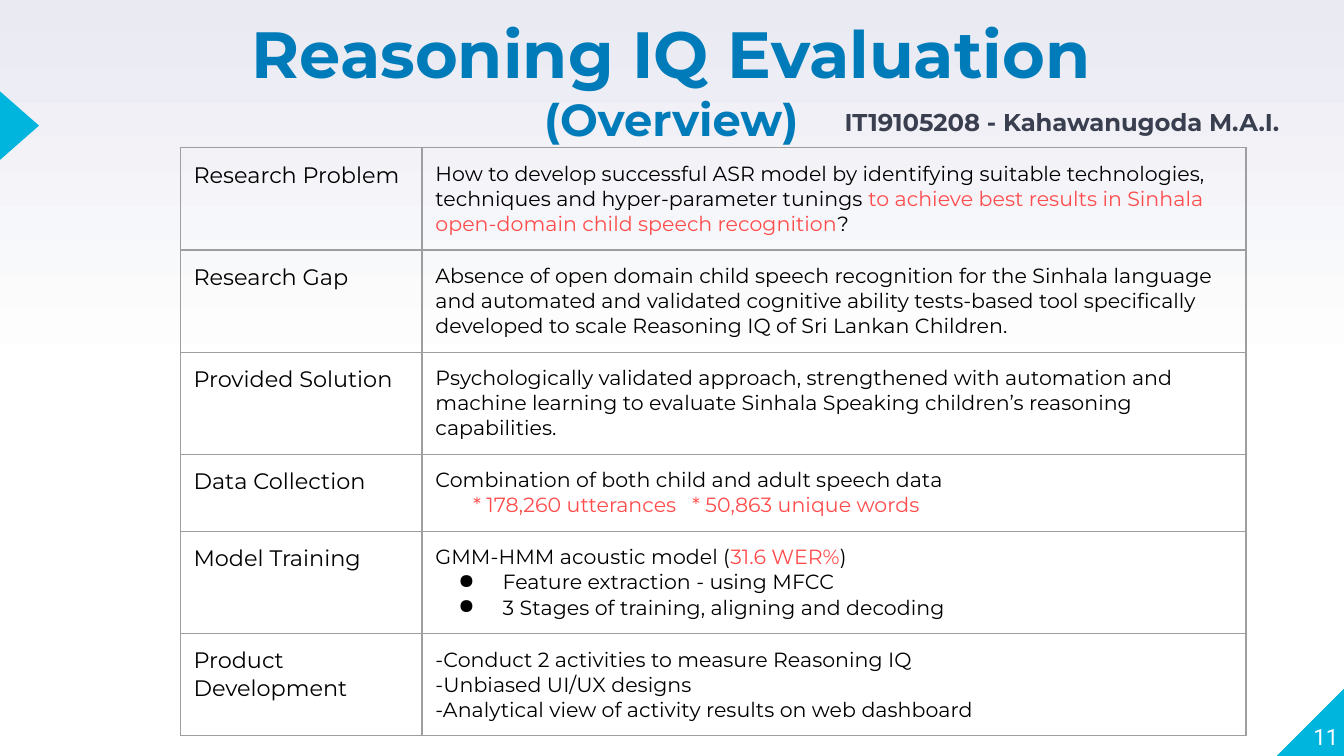
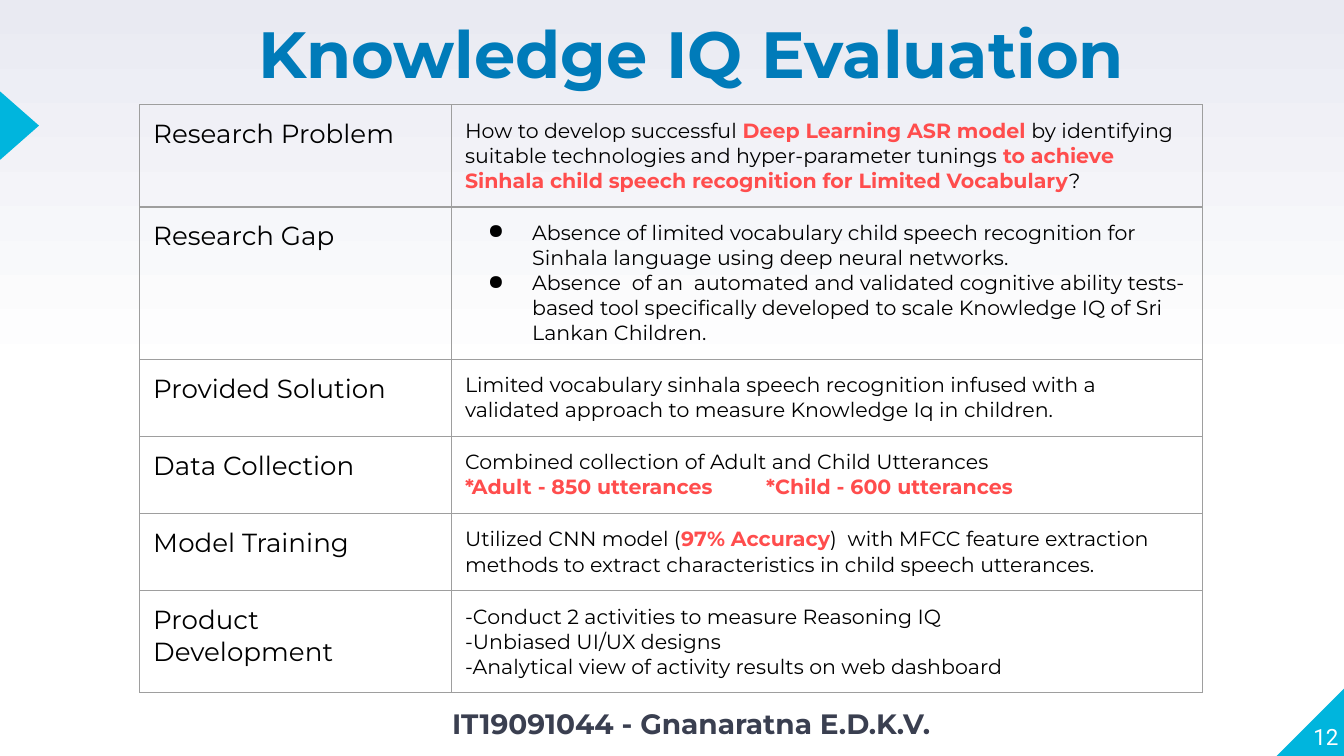
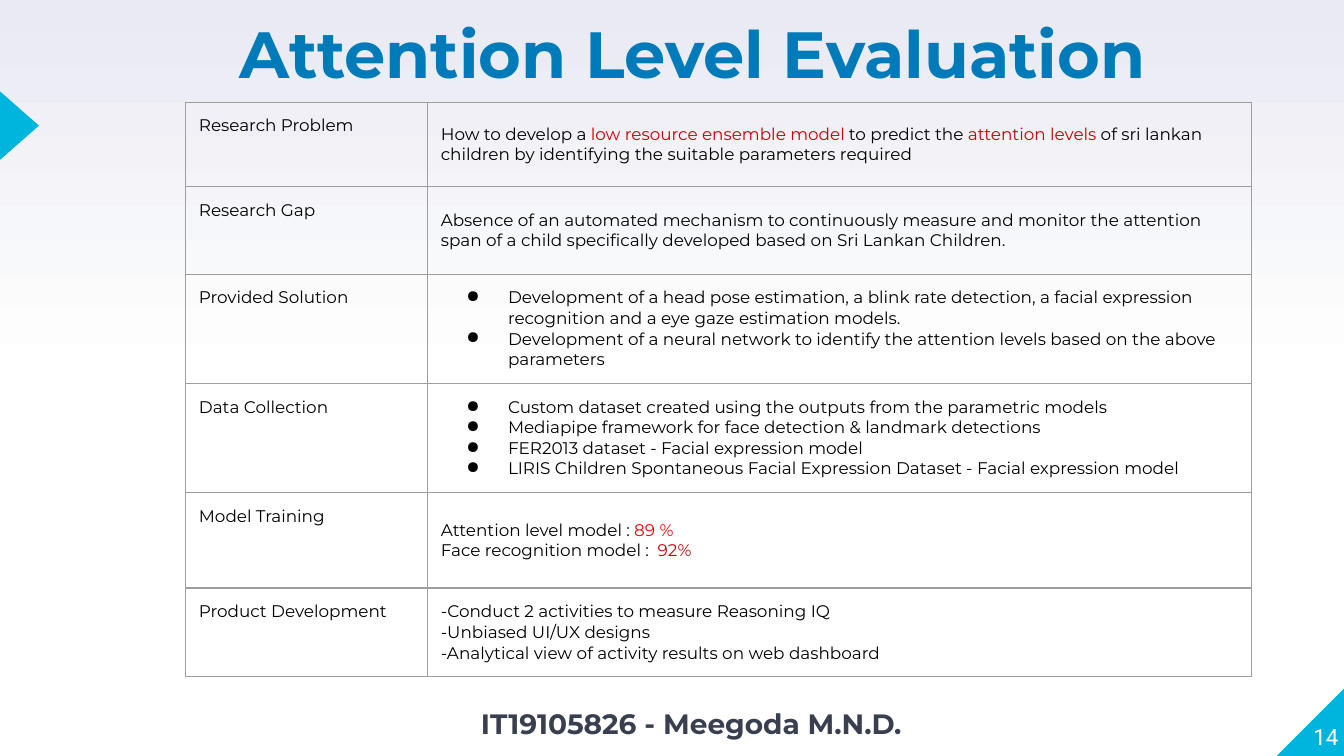
from typing import NamedTuple

import pptx
import pptx.dml.color
import pptx.enum.shapes
import pptx.enum.text
import pptx.oxml.ns
import pptx.util
from lxml import etree

RGB = pptx.dml.color.RGBColor
Pt = pptx.util.Pt
qn = pptx.oxml.ns.qn
Shape = pptx.enum.shapes.MSO_SHAPE
Align = pptx.enum.text.PP_ALIGN
Anchor = pptx.enum.text.MSO_ANCHOR

WHITE = RGB(0xFF, 0xFF, 0xFF)
BLACK = RGB(0x00, 0x00, 0x00)
HAZE = RGB(0xE9, 0xEA, 0xF2)
CYAN = RGB(0x00, 0xB5, 0xDD)
BLUE = RGB(0x00, 0x7B, 0xB9)
SLATE = RGB(0x3A, 0x3F, 0x50)
GRID_GREY = RGB(0x9E, 0x9E, 0x9E)
CORAL = RGB(0xFF, 0x4D, 0x4D)
CRIMSON = RGB(0xCC, 0x00, 0x00)
RED = RGB(0xFF, 0x00, 0x00)

FONT = "Montserrat"
NUMBER_FONT = "Roboto"

# The slide is a grid of square cells, 100 columns by 56.25 rows.
SLIDE_W = pptx.util.Inches(10)
COLUMNS, ROWS = 100, 56.25
PADDING = 1


def cells(n: float) -> int:
    """Length of n grid cells."""
    return round(SLIDE_W * n / COLUMNS)


class Box(NamedTuple):
    left: float
    top: float
    width: float
    height: float

    def emu(self) -> list[int]:
        return [cells(n) for n in self]


class Span(NamedTuple):
    text: str
    color: RGB = BLACK
    bold: bool = False


class Para(NamedTuple):
    spans: list[Span]
    bullet: bool = False
    tabs: tuple[float, ...] = ()


class Topic(NamedTuple):
    """One evaluation slide."""
    number: int
    title: str
    title_box: Box
    author: str
    author_box: Box
    author_size: int
    table_at: tuple[float, float]
    columns: tuple[float, float]
    rows: list[float]
    label_size: int
    body_size: int
    hanging: float
    bodies: list[list[Para]]
    subtitle: str = ""


def para(*spans: str | Span, tabs: tuple[float, ...] = ()) -> Para:
    return Para([Span(x) if isinstance(x, str) else x for x in spans], tabs=tabs)


def bullet(text: str) -> Para:
    return Para([Span(text)], bullet=True)


def add_text(p, text: str, *, size: float, color: RGB = BLACK,
             bold: bool = False, font: str = FONT) -> None:
    r = p.add_run()
    r.text = text
    r.font.name, r.font.size, r.font.bold = font, Pt(size), bold
    r.font.color.rgb = color


def frame_box(tf, padding: float = PADDING, anchor=Anchor.TOP, align=Align.CENTER):
    """Set up a text frame and return its first paragraph."""
    tf.word_wrap = True
    tf.auto_size = pptx.enum.text.MSO_AUTO_SIZE.NONE
    tf.margin_left = tf.margin_right = tf.margin_top = tf.margin_bottom = cells(padding)
    tf.vertical_anchor = anchor
    tf.paragraphs[0].alignment = align
    return tf.paragraphs[0]


def add_triangle(s, kind, box: Box):
    sp = s.shapes.add_shape(kind, *box.emu())
    sp.shadow.inherit = False
    sp.fill.solid()
    sp.fill.fore_color.rgb = CYAN
    sp.line.fill.background()
    return sp


def add_decor(s, number: int) -> None:
    """Corner and side triangles with the slide number."""
    corner = add_triangle(s, Shape.RIGHT_TRIANGLE, Box(95, 51.15, 5.1, 5.1))
    corner._element.spPr.get_or_add_xfrm().set("flipH", "1")
    add_triangle(s, Shape.ISOSCELES_TRIANGLE, Box(-1.1, 7.9, 5.1, 2.9)).rotation = 90
    tf = s.shapes.add_textbox(*Box(94.6, 50.7, 5, 5.1).emu()).text_frame
    p = frame_box(tf, 0, Anchor.BOTTOM, Align.RIGHT)
    add_text(p, str(number), size=12, color=WHITE, font=NUMBER_FONT)


def set_title(s, topic: Topic) -> None:
    title = s.shapes.title
    title.left, title.top, title.width, title.height = topic.title_box.emu()
    p = frame_box(title.text_frame)
    add_text(p, topic.title, size=35, color=BLUE, bold=True)
    if topic.subtitle:
        p.add_line_break()
        etree.SubElement(p._p[-1], qn("a:rPr"), sz="3500")
        add_text(p, topic.subtitle, size=24, color=BLUE, bold=True)


def set_borders(cell) -> None:
    tcPr = cell._tc.get_or_add_tcPr()
    for side in ("a:lnL", "a:lnR", "a:lnT", "a:lnB"):
        ln = etree.SubElement(tcPr, qn(side), w=str(Pt(0.75)))
        fill = etree.SubElement(ln, qn("a:solidFill"))
        etree.SubElement(fill, qn("a:srgbClr"), val=str(GRID_GREY))


def format_para(p, item: Para, hanging: float) -> None:
    """Add the bullet or tab stops of a paragraph."""
    pPr = p._p.get_or_add_pPr()
    if item.bullet:
        pPr.set("marL", str(cells(5)))
        pPr.set("indent", str(-cells(hanging)))
        color = etree.SubElement(pPr, qn("a:buClr"))
        etree.SubElement(color, qn("a:srgbClr"), val=str(BLACK))
        etree.SubElement(pPr, qn("a:buChar"), char="●")
    if item.tabs:
        stops = etree.SubElement(pPr, qn("a:tabLst"))
        for stop in item.tabs:
            etree.SubElement(stops, qn("a:tab"), pos=str(cells(stop)), algn="l")


def fill_cell(cell, paras: list[Para], size: float, anchor, hanging: float) -> None:
    set_borders(cell)
    cell.fill.background()
    cell.margin_left = cell.margin_right = cells(PADDING)
    cell.margin_top = cell.margin_bottom = cells(PADDING)
    cell.vertical_anchor = anchor
    tf = cell.text_frame
    for i, item in enumerate(paras):
        p = tf.add_paragraph() if i else tf.paragraphs[0]
        format_para(p, item, hanging)
        for span in item.spans:
            add_text(p, span.text, size=size, color=span.color, bold=span.bold)


def add_topic_table(s, topic: Topic) -> None:
    box = Box(*topic.table_at, sum(topic.columns), sum(topic.rows))
    table = s.shapes.add_table(len(LABELS), 2, *box.emu()).table
    table.first_row = table.horz_banding = False
    for column, width in zip(table.columns, topic.columns):
        column.width = cells(width)
    for i, (label, body) in enumerate(zip(LABELS, topic.bodies)):
        table.rows[i].height = cells(topic.rows[i])
        fill_cell(table.cell(i, 0), [para(label)], topic.label_size, Anchor.TOP, 0)
        fill_cell(table.cell(i, 1), body, topic.body_size, Anchor.MIDDLE, topic.hanging)


def add_topic(prs, topic: Topic) -> None:
    s = prs.slides.add_slide(prs.slide_layouts.get_by_name("Title Only"))
    add_decor(s, topic.number)
    set_title(s, topic)
    tf = s.shapes.add_textbox(*topic.author_box.emu()).text_frame
    add_text(frame_box(tf), topic.author, size=topic.author_size, color=SLATE, bold=True)
    add_topic_table(s, topic)


def set_background(master) -> None:
    fill = master.background.fill
    fill.gradient()
    fill.gradient_angle = 90
    for stop, position, color in zip(fill.gradient_stops, (0.5, 1), (WHITE, HAZE)):
        stop.position = position
        stop.color.rgb = color


LABELS = ["Research Problem", "Research Gap", "Provided Solution",
          "Data Collection", "Model Training", "Product Development"]
PRODUCT = [
    para("-Conduct 2 activities to measure Reasoning IQ"),
    para("-Unbiased UI/UX designs"),
    para("-Analytical view of activity results on web dashboard"),
]
FOOTER_BOX = Box(18.1, 51.6, 66.7, 4.7)

TOPICS = [
    Topic(
        number=11, title="Reasoning IQ Evaluation", subtitle="(Overview)",
        title_box=Box(16.6, 0, 66.7, 7),
        author="IT19105208 - Kahawanugoda M.A.I.",
        author_box=Box(58.4, 7, 41.2, 4.7), author_size=13,
        table_at=(13.4, 11), columns=(18, 61.3),
        rows=[6.5, 6.7, 6, 5.5, 7.3, 6.7],
        label_size=12, body_size=11, hanging=3.3,
        bodies=[
            [para("How to develop successful ASR model by identifying suitable "
                  "technologies, techniques and hyper-parameter tunings ",
                  Span("to achieve best results in Sinhala open-domain child "
                       "speech recognition", CORAL), "?")],
            [para("Absence of open domain child speech recognition for the Sinhala "
                  "language and automated and validated cognitive ability tests-based "
                  "tool specifically developed to scale Reasoning IQ of Sri Lankan "
                  "Children.")],
            [para("Psychologically validated approach, strengthened with automation "
                  "and machine learning to evaluate Sinhala Speaking children’s "
                  "reasoning capabilities.")],
            [para("Combination of both child and adult speech data"),
             para(Span("\t* 178,260 utterances\t* 50,863 unique words", CORAL),
                  tabs=(2.8, 19.1))],
            [para("GMM-HMM acoustic model (", Span("31.6 WER%", CORAL), ")"),
             bullet("Feature extraction - using MFCC"),
             bullet("3 Stages of training, aligning and decoding")],
            PRODUCT,
        ]),
    Topic(
        number=12, title="Knowledge IQ Evaluation",
        title_box=Box(18.1, 0, 66.7, 7.2),
        author="IT19091044 - Gnanaratna E.D.K.V.",
        author_box=FOOTER_BOX, author_size=15,
        table_at=(10.4, 7.8), columns=(23.2, 55.9),
        rows=[4.2] * len(LABELS),
        label_size=14, body_size=11, hanging=3.3,
        bodies=[
            [para("How to develop successful ",
                  Span("Deep Learning ASR model", CORAL, True),
                  " by identifying suitable technologies and hyper-parameter tunings ",
                  Span("to achieve Sinhala child speech recognition for Limited "
                       "Vocabulary", CORAL, True), "?")],
            [bullet("Absence of limited vocabulary child speech recognition for "
                    "Sinhala language using deep neural networks."),
             bullet("Absence  of an  automated and validated cognitive ability "
                    "tests-based tool specifically developed to scale Knowledge IQ "
                    "of Sri Lankan Children.")],
            [para("Limited vocabulary sinhala speech recognition infused with a "
                  "validated approach to measure Knowledge Iq in children.")],
            [para("Combined collection of Adult and Child Utterances"),
             para(Span("*Adult - 850 utterances\t*Child - 600 utterances", CORAL, True),
                  tabs=(22.4,))],
            [para("Utilized CNN model (", Span("97% Accuracy", CORAL, True),
                  ")  with MFCC feature extraction methods to extract characteristics "
                  "in child speech utterances.")],
            PRODUCT,
        ]),
    Topic(
        number=14, title="Attention Level Evaluation",
        title_box=Box(13.1, 0, 76.9, 7),
        author="IT19105826 - Meegoda M.N.D.",
        author_box=FOOTER_BOX, author_size=15,
        table_at=(13.8, 7.6), columns=(18, 61.3),
        rows=[6.3, 6.5, 7.8, 7.8, 7.1, 6.5],
        label_size=9, body_size=9, hanging=3.1,
        bodies=[
            [para("How to develop a ", Span("low resource ensemble model", CRIMSON),
                  " to predict the ", Span("attention levels ", CRIMSON),
                  "of sri lankan children by identifying the suitable parameters "
                  "required")],
            [para("Absence of an automated mechanism to continuously measure and "
                  "monitor the attention span of a child specifically developed based "
                  "on Sri Lankan Children.")],
            [bullet("Development of a head pose estimation, a blink rate detection, a "
                    "facial expression recognition and a eye gaze estimation models."),
             bullet("Development of a neural network to identify the attention levels "
                    "based on the above parameters")],
            [bullet("Custom dataset created using the outputs from the parametric models"),
             bullet("Mediapipe framework for face detection & landmark detections"),
             bullet("FER2013 dataset - Facial expression model"),
             bullet("LIRIS Children Spontaneous Facial Expression Dataset - Facial "
                    "expression model")],
            [para("Attention level model : ", Span("89 %", RED)),
             para("Face recognition model :  ", Span("92%", CRIMSON))],
            PRODUCT,
        ]),
]


def main() -> None:
    prs = pptx.Presentation()
    prs.slide_width, prs.slide_height = SLIDE_W, cells(ROWS)
    set_background(prs.slide_master)
    for topic in TOPICS:
        add_topic(prs, topic)
    prs.save("out.pptx")


if __name__ == "__main__":
    main()
